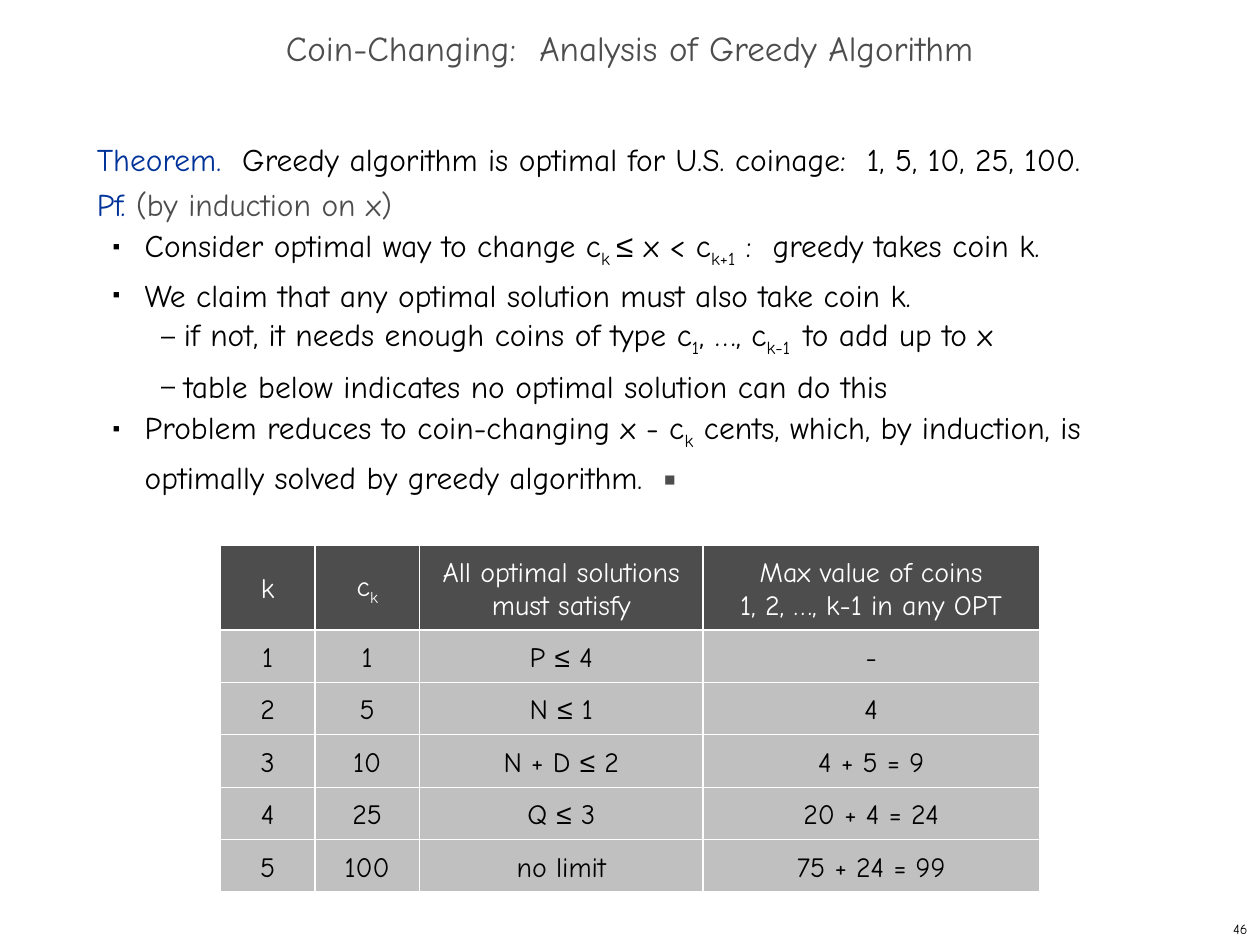
import itertools

import pptx
import pptx.dml.color
import pptx.enum.shapes
import pptx.enum.text
import pptx.oxml.ns
import pptx.util
from lxml import etree

Inches = pptx.util.Inches
Pt = pptx.util.Pt
ALIGN = pptx.enum.text.PP_ALIGN
MIDDLE = pptx.enum.text.MSO_ANCHOR.MIDDLE
qn = pptx.oxml.ns.qn

FONT = "Comic Neue"
SYMBOL_FONT = "Arial"
BLACK, WHITE, GRAY, SILVER, BLUE = "000000", "FFFFFF", "4D4D4D", "C0C0C0", "003399"
SUB = {"subscript": True}
LEQ = ("≤", {"font": SYMBOL_FONT})

TITLE = "Coin-Changing:  Analysis of Greedy Algorithm"
PAGE_NUMBER = "46"

BULLETS = {
    1: {"character": "■", "percent": 35, "left": 0.38, "hanging": 0.25},
    2: {"character": "–", "percent": 80, "left": 0.69, "hanging": 0.18},
}
PROOF = [
    (0, [("Theorem.  ", {"color": BLUE}),
         "Greedy algorithm is optimal for U.S. coinage:  1, 5, 10, 25, 100."]),
    (0, [("Pf. ", {"color": BLUE}), ("(by induction on x)", {"color": GRAY})]),
    (1, ["Consider optimal way to change c", ("k ", SUB), LEQ, " x < c", ("k+1", SUB),
         " :  greedy takes coin k."]),
    (1, ["We claim that any optimal solution must also take coin k."]),
    (2, ["if not, it needs enough coins of type c", ("1", SUB), ", …, c", ("k-1", SUB),
         ("  ", {"subscript": True, "size": 20}), "to add up to x"]),
    (2, ["table below indicates no optimal solution can do this"]),
    (1, ["Problem reduces to coin-changing x - c", ("k", SUB),
         " cents, which, by induction, is optimally solved by greedy algorithm.  ",
         ("▪", {"color": GRAY})]),
]

GRID_LEFT, GRID_TOP, GRID_BOTTOM = 1.75, 4.33, 7.08
COLUMN_WIDTHS = [0.75, 0.83, 2.25, 2.67]
HEADER_HEIGHT = 0.67
COIN_ROWS = [
    [["k"], ["c", ("k", SUB)], ["All optimal solutions\nmust satisfy"],
     ["Max value of coins\n1, 2, …, k-1 in any OPT"]],
    [["1"], ["1"], ["P ", LEQ, " 4"], ["-"]],
    [["2"], ["5"], ["N ", LEQ, " 1"], ["4"]],
    [["3"], ["10"], ["N + D ", LEQ, " 2"], ["4 + 5 = 9"]],
    [["4"], ["25"], ["Q ", LEQ, " 3"], ["20 + 4 = 24"]],
    [["5"], ["100"], ["no limit"], ["75 + 24 = 99"]],
]


def rgb(value):
    return pptx.dml.color.RGBColor.from_string(value)


def write(paragraph, pieces, size, color=BLACK, align=ALIGN.LEFT, line_spacing=None):
    paragraph.alignment = align
    if line_spacing:
        paragraph.line_spacing = line_spacing
    for piece in pieces:
        text, style = (piece, {}) if isinstance(piece, str) else piece
        for index, line in enumerate(text.split("\n")):
            if index:
                paragraph.add_line_break()
            run = paragraph.add_run()
            run.text = line
            run.font.name = style.get("font", FONT)
            run.font.size = Pt(style.get("size", size))
            run.font.color.rgb = rgb(style.get("color", color))
            if style.get("subscript"):
                run.font._element.set("baseline", "-25000")


def add_bullet(paragraph, character, percent, left, hanging):
    properties = paragraph._p.get_or_add_pPr()
    properties.set("marL", str(Inches(left)))
    properties.set("indent", str(-Inches(hanging)))
    color = etree.SubElement(properties, qn("a:buClr"))
    etree.SubElement(color, qn("a:srgbClr"), val=BLACK)
    etree.SubElement(properties, qn("a:buSzPct"), val=str(percent * 1000))
    etree.SubElement(properties, qn("a:buFont"), typeface=SYMBOL_FONT)
    etree.SubElement(properties, qn("a:buChar"), char=character)


def add_text_frame(slide, left, top, width, height, anchor=MIDDLE):
    box = slide.shapes.add_textbox(Inches(left), Inches(top), Inches(width), Inches(height))
    box.text_frame.word_wrap = True
    box.text_frame.vertical_anchor = anchor
    return box.text_frame


def add_proof(slide):
    frame = add_text_frame(slide, 0.67, 1, 8.75, 5.92, pptx.enum.text.MSO_ANCHOR.TOP)
    for index, (level, pieces) in enumerate(PROOF):
        paragraph = frame.add_paragraph() if index else frame.paragraphs[0]
        paragraph.level = level
        if level:
            add_bullet(paragraph, **BULLETS[level])
        write(paragraph, pieces, 18, line_spacing=Pt(26))


def add_cell(slide, left, top, width, height, pieces, fill, color):
    cell = slide.shapes.add_shape(
        pptx.enum.shapes.MSO_SHAPE.RECTANGLE,
        Inches(left), Inches(top), Inches(width), Inches(height))
    cell.shadow.inherit = False
    cell.fill.solid()
    cell.fill.fore_color.rgb = rgb(fill)
    cell.line.color.rgb = rgb(WHITE)
    cell.line.width = Pt(0.75)
    cell.text_frame.word_wrap = False
    cell.text_frame.vertical_anchor = MIDDLE
    write(cell.text_frame.paragraphs[0], pieces, 16, color=color, align=ALIGN.CENTER)


def add_coin_grid(slide):
    coin_count = len(COIN_ROWS) - 1
    row_height = (GRID_BOTTOM - GRID_TOP - HEADER_HEIGHT) / coin_count
    heights = [HEADER_HEIGHT] + [row_height] * coin_count
    lefts = itertools.accumulate(COLUMN_WIDTHS[:-1], initial=GRID_LEFT)
    columns = list(zip(lefts, COLUMN_WIDTHS))
    tops = itertools.accumulate(heights[:-1], initial=GRID_TOP)
    for index, (row, top, height) in enumerate(zip(COIN_ROWS, tops, heights)):
        fill, color = (SILVER, BLACK) if index else (GRAY, WHITE)
        for pieces, (left, width) in zip(row, columns):
            add_cell(slide, left, top, width, height, pieces, fill, color)


def main():
    presentation = pptx.Presentation()
    presentation.slide_width, presentation.slide_height = Inches(10), Inches(7.5)
    slide = presentation.slides.add_slide(presentation.slide_layouts[6])
    title = add_text_frame(slide, 0, 0.17, 10, 0.5)
    write(title.paragraphs[0], [TITLE], 20, color=GRAY, align=ALIGN.CENTER, line_spacing=0.7)
    add_proof(slide)
    add_coin_grid(slide)
    number = add_text_frame(slide, 7.92, 7.25, 2.08, 0.25)
    write(number.paragraphs[0], [PAGE_NUMBER], 8, align=ALIGN.RIGHT)
    presentation.save("out.pptx")


if __name__ == "__main__":
    main()
